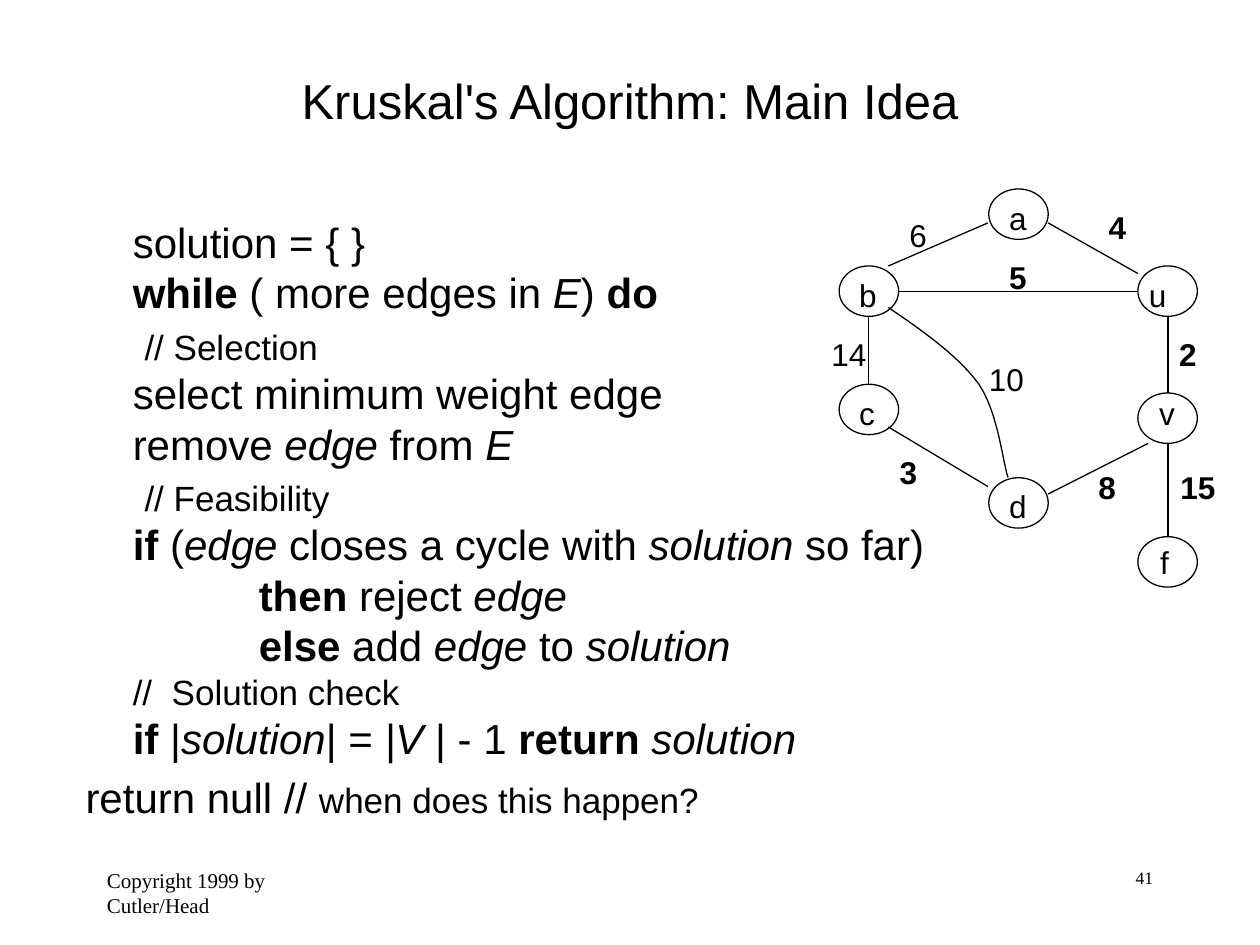
from lxml import etree
from pptx import Presentation
from pptx.dml.color import RGBColor
from pptx.enum import shapes as kinds, text as t
from pptx.oxml import ns
from pptx.util import Pt

BLACK = RGBColor(0, 0, 0)
SANS, SERIF = "Arial", "Times New Roman"
CODE, COMMENT = 24, 20
LEADING = 1.2
NODE_WIDTH, NODE_HEIGHT = 34, 28.8
LABEL_HEIGHT = 28.8

TITLE = "Kruskal's Algorithm: Main Idea"

# Pseudocode lines: indent, line size, space before, runs of (text, style[, size])
# Styles: "" plain, "b" bold, "i" italic
PSEUDOCODE = [
    (27, CODE, 0, [("solution = { }", "")]),
    (27, CODE, 0, [("while", "b"), (" ( more edges in ", ""), ("E", "i"), (") ", ""), ("do", "b")]),
    (33.7, CODE, 0, [("// Selection", "", COMMENT)]),
    (27, CODE, 0, [("select minimum weight edge", "")]),
    (27, CODE, 0, [("remove ", ""), ("edge", "i"), (" from ", ""), ("E", "i")]),
    (33.7, CODE, 0, [("// Feasibility", "", COMMENT)]),
    (27, CODE, 0, [("if", "b"), (" (", ""), ("edge", "i"), (" closes a cycle with ", ""),
                   ("solution", "i"), (" so far)", "")]),
    (99, CODE, 0, [("then ", "b"), ("reject ", ""), ("edge", "i")]),
    (99, CODE, 0, [("else", "b"), (" add ", ""), ("edge", "i"), (" to ", ""), ("solution", "i")]),
    (27, COMMENT, 0, [("//  Solution check", "")]),
    (27, CODE, 0, [("if ", "b"), ("|", ""), ("solution", "i"), ("| = ", ""), ("|V ", "i"),
                   ("| - 1 ", ""), ("return ", "b"), ("solution", "i")]),
    (0, CODE, 5, [("return null // ", ""), ("when does this happen?", "", COMMENT)]),
]

# Node name: left and top of the ellipse, then left, top and width of its label
NODES = {
    "a": (565, 108, 569.5, 110.2, 24.4),
    "b": (479.5, 152, 483.8, 154.1, 24.4),
    "c": (479.5, 219.6, 483.8, 221.8, 23),
    "d": (565, 273, 569.5, 275, 24.4),
    "u": (650.2, 152, 649.4, 154.1, 24.4),
    "v": (650.2, 224.6, 655.2, 221.8, 23),
    "f": (650.2, 306.7, 655.9, 306.7, 19.4),
}

# Weight, style, left and top of its label, start and end of a straight edge
EDGES = [
    ("14", "", 468, 188, (496.5, 180.8), (496.5, 219.6)),
    ("6", "", 512.6, 120.2, (507.6, 152), (564.5, 127.4)),
    ("3", "b", 507, 255.6, (507.6, 244), (564.5, 278)),
    ("8", "b", 620.6, 264.2, (599, 282.3), (656, 253.4)),
    ("4", "b", 626.4, 115.2, (599, 127.4), (650.2, 156.3)),
    ("2", "b", 666.7, 188, (667.4, 180.8), (667.4, 224.6)),
    ("5", "b", 569.5, 144, (513.4, 166.4), (650.2, 166.4)),
    ("15", "b", 667.4, 264.2, (667.4, 253.4), (667.4, 306.7)),
]
CURVED_WEIGHT = ("10", "", 558, 202.3)
CURVE = [
    ((507.6, 175.7), (527.8, 189.4), (548, 203.8), (559.4, 219.6)),
    ((559.4, 219.6), (570.2, 235.4), (573.1, 264.2), (576, 272.9)),
]
CURVE_STEPS = 12


def add_run(paragraph, text, style, size, font_name=SANS):
    run = paragraph.add_run()
    run.text = text
    font = run.font
    font.name, font.size, font.color.rgb = font_name, Pt(size), BLACK
    font.bold, font.italic = style == "b", style == "i"


def add_frame(shapes, left, top, width, height, wrap=True):
    box = shapes.add_textbox(Pt(left), Pt(top), Pt(width), Pt(height))
    box.text_frame.word_wrap = wrap
    return box.text_frame


def add_label(shapes, text, style, left, top, width):
    frame = add_frame(shapes, left, top, width, LABEL_HEIGHT, wrap=False)
    add_run(frame.paragraphs[0], text, style, 18)


def add_weight(shapes, text, style, left, top):
    add_label(shapes, text, style, left, top, 14.4 + 10 * len(text))


def outline(shape):
    shape.line.color.rgb = BLACK
    shape.line.width = Pt(0.75)


def bezier_point(curve, step):
    """Point on a cubic curve after the given share (0 to 1) of its length."""
    rest = 1 - step
    weights = (rest ** 3, 3 * rest ** 2 * step, 3 * rest * step ** 2, step ** 3)
    return tuple(sum(w * point[axis] for w, point in zip(weights, curve)) for axis in (0, 1))


def add_pseudocode(shapes):
    frame = add_frame(shapes, 41.8, 120.2, 510, 354)
    for number, (indent, line_size, before, runs) in enumerate(PSEUDOCODE):
        paragraph = frame.add_paragraph() if number else frame.paragraphs[0]
        paragraph._p.get_or_add_pPr().set("marL", str(Pt(indent)))
        paragraph.line_spacing = Pt(line_size * LEADING)
        if before:
            paragraph.space_before = Pt(before)
        for text, style, *size in runs:
            add_run(paragraph, text, style, size[0] if size else line_size)


def add_graph(shapes):
    for left, top, *_ in NODES.values():
        node = shapes.add_shape(kinds.MSO_SHAPE.OVAL, Pt(left), Pt(top),
                                Pt(NODE_WIDTH), Pt(NODE_HEIGHT))
        node.shadow.inherit = False
        node.fill.background()
        outline(node)

    for *_, start, end in EDGES:
        edge = shapes.add_connector(kinds.MSO_CONNECTOR.STRAIGHT, *map(Pt, start + end))
        outline(edge)
        etree.SubElement(edge._element.spPr, ns.qn("a:effectLst"))

    points = [bezier_point(curve, step / CURVE_STEPS)
              for curve in CURVE for step in range(1, CURVE_STEPS + 1)]
    builder = shapes.build_freeform(*map(Pt, CURVE[0][0]))
    builder.add_line_segments([(Pt(x), Pt(y)) for x, y in points], close=False)
    curved_edge = builder.convert_to_shape()
    curved_edge.shadow.inherit = False
    curved_edge.fill.background()
    outline(curved_edge)

    for weight, style, left, top, *_ in EDGES + [CURVED_WEIGHT]:
        add_weight(shapes, weight, style, left, top)
    for name, (_, _, left, top, width) in NODES.items():
        add_label(shapes, name, "", left, top, width)


def main():
    presentation = Presentation()
    presentation.slide_width, presentation.slide_height = Pt(720), Pt(540)
    slide = presentation.slides.add_slide(presentation.slide_layouts[6])
    shapes = slide.shapes

    add_pseudocode(shapes)

    title = add_frame(shapes, 54, 24, 612, 66)
    title.vertical_anchor = t.MSO_ANCHOR.MIDDLE
    title.paragraphs[0].alignment = t.PP_ALIGN.CENTER
    add_run(title.paragraphs[0], TITLE, "", 28)

    add_graph(shapes.add_group_shape().shapes)

    page_number = add_frame(shapes, 516, 492, 150, 36).paragraphs[0]
    page_number.alignment = t.PP_ALIGN.RIGHT
    add_run(page_number, "41", "", 10, SERIF)
    copyright_line = add_frame(shapes, 54, 492, 150, 36).paragraphs[0]
    add_run(copyright_line, "Copyright 1999 by Cutler/Head", "", 12, SERIF)

    presentation.save("out.pptx")


if __name__ == "__main__":
    main()
